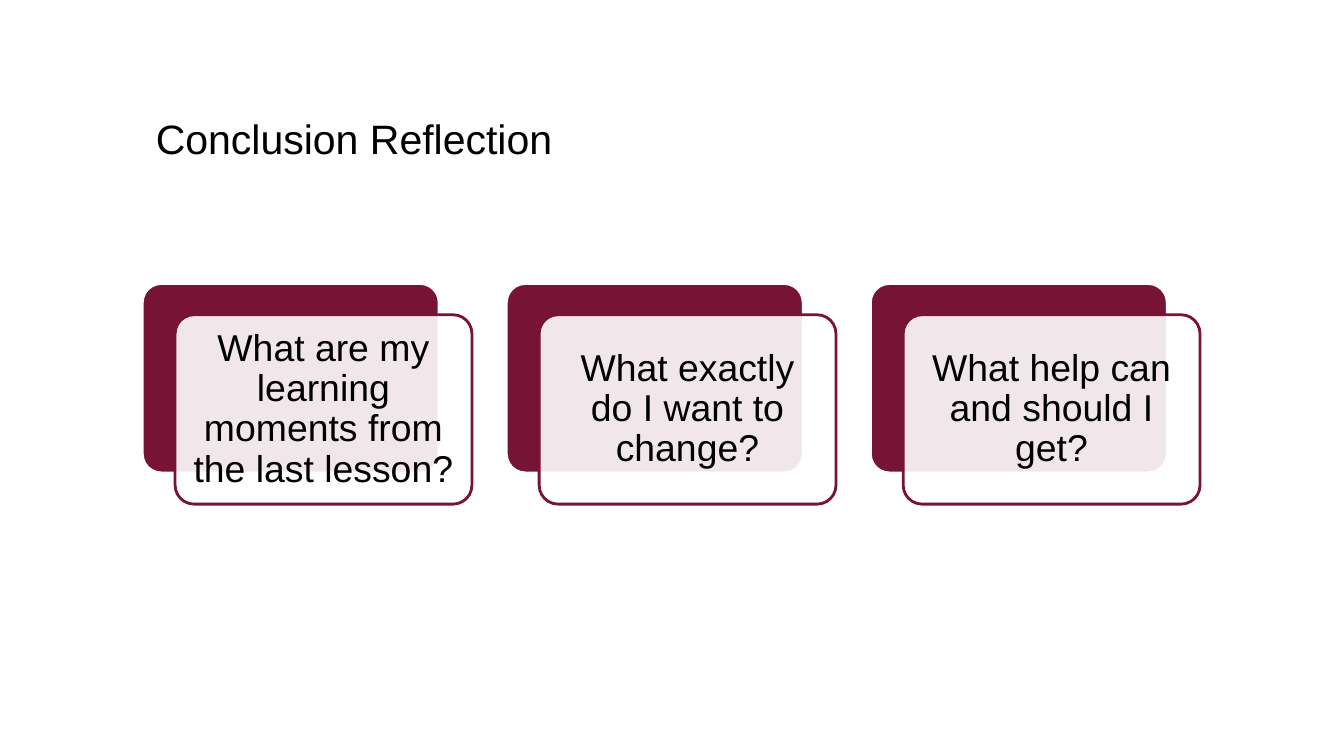
from dataclasses import dataclass

from lxml import etree
from pptx import Presentation
from pptx.dml.color import RGBColor
from pptx.enum.shapes import MSO_SHAPE
from pptx.enum.text import MSO_ANCHOR, MSO_AUTO_SIZE, PP_ALIGN
from pptx.oxml.ns import qn
from pptx.util import Cm, Pt

ROUNDED = MSO_SHAPE.ROUNDED_RECTANGLE
MIDDLE = MSO_ANCHOR.MIDDLE
NO_AUTOFIT = MSO_AUTO_SIZE.NONE
LEFT, CENTER = PP_ALIGN.LEFT, PP_ALIGN.CENTER
TITLE_ONLY = 5


@dataclass(frozen=True)
class Theme:
    font: str = "Arial"
    ink: RGBColor = RGBColor(0x00, 0x00, 0x00)
    paper: RGBColor = RGBColor(0xFF, 0xFF, 0xFF)
    maroon: RGBColor = RGBColor(0x77, 0x13, 0x35)
    title_size: int = 22
    question_size: int = 20
    outline: float = 1.5
    line_spacing: float = 0.9


def write(frame, text, *, theme, size, align=LEFT, inset=None):
    """Fill a text frame with one formatted paragraph."""
    frame.word_wrap = True
    frame.auto_size = NO_AUTOFIT
    frame.vertical_anchor = MIDDLE
    if inset is not None:
        frame.margin_left = frame.margin_right = Cm(inset)
        frame.margin_top = frame.margin_bottom = Cm(inset)
    paragraph = frame.paragraphs[0]
    paragraph.alignment = align
    paragraph.line_spacing = theme.line_spacing
    run = paragraph.add_run()
    run.text = text
    run.font.name = theme.font
    run.font.size = Pt(size)
    run.font.color.rgb = theme.ink


class SlideBuilder:
    def __init__(self, slide, theme):
        self.slide = slide
        self.theme = theme

    def title(self, text, left, top, width, height):
        heading = self.slide.shapes.title
        heading.left, heading.top = Cm(left), Cm(top)
        heading.width, heading.height = Cm(width), Cm(height)
        write(heading.text_frame, text, theme=self.theme,
              size=self.theme.title_size)

    def panel(self, left, top, width, height, fill, line, opacity=100):
        panel = self.slide.shapes.add_shape(
            ROUNDED, Cm(left), Cm(top), Cm(width), Cm(height))
        panel.adjustments[0] = 0.1
        panel.shadow.inherit = False
        panel.fill.solid()
        panel.fill.fore_color.rgb = fill
        panel.line.color.rgb = line
        panel.line.width = Pt(self.theme.outline)
        if opacity < 100:
            color = panel.fill._xPr.find(qn("a:solidFill"))[0]
            etree.SubElement(color, qn("a:alpha"), val=str(opacity * 1000))
        return panel

    def question_card(self, question, left, top, width, height, shift):
        """A maroon panel with a translucent question panel set off from it."""
        theme = self.theme
        self.panel(left, top, width, height, theme.maroon, theme.paper)
        front = self.panel(left + shift[0], top + shift[1], width, height,
                           theme.paper, theme.maroon, opacity=90)
        write(front.text_frame, question, theme=theme,
              size=theme.question_size, align=CENTER, inset=0.2)


def main():
    presentation = Presentation()
    presentation.slide_width, presentation.slide_height = Cm(25.4), Cm(14.29)
    layout = presentation.slide_layouts[TITLE_ONLY]
    builder = SlideBuilder(presentation.slides.add_slide(layout), Theme())

    # Heading
    margin = 2.69
    builder.title("Conclusion Reflection", margin, 1.8, 20, 1.75)

    # Row of reflection questions
    questions = (
        "What are my learning moments from the last lesson?",
        "What exactly do I want to change?",
        "What help can and should I get?",
    )
    pitch = 6.88
    for column, question in enumerate(questions):
        builder.question_card(question, margin + column * pitch, 5.36,
                              5.61, 3.58, shift=(0.62, 0.59))

    presentation.save("out.pptx")


if __name__ == "__main__":
    main()
